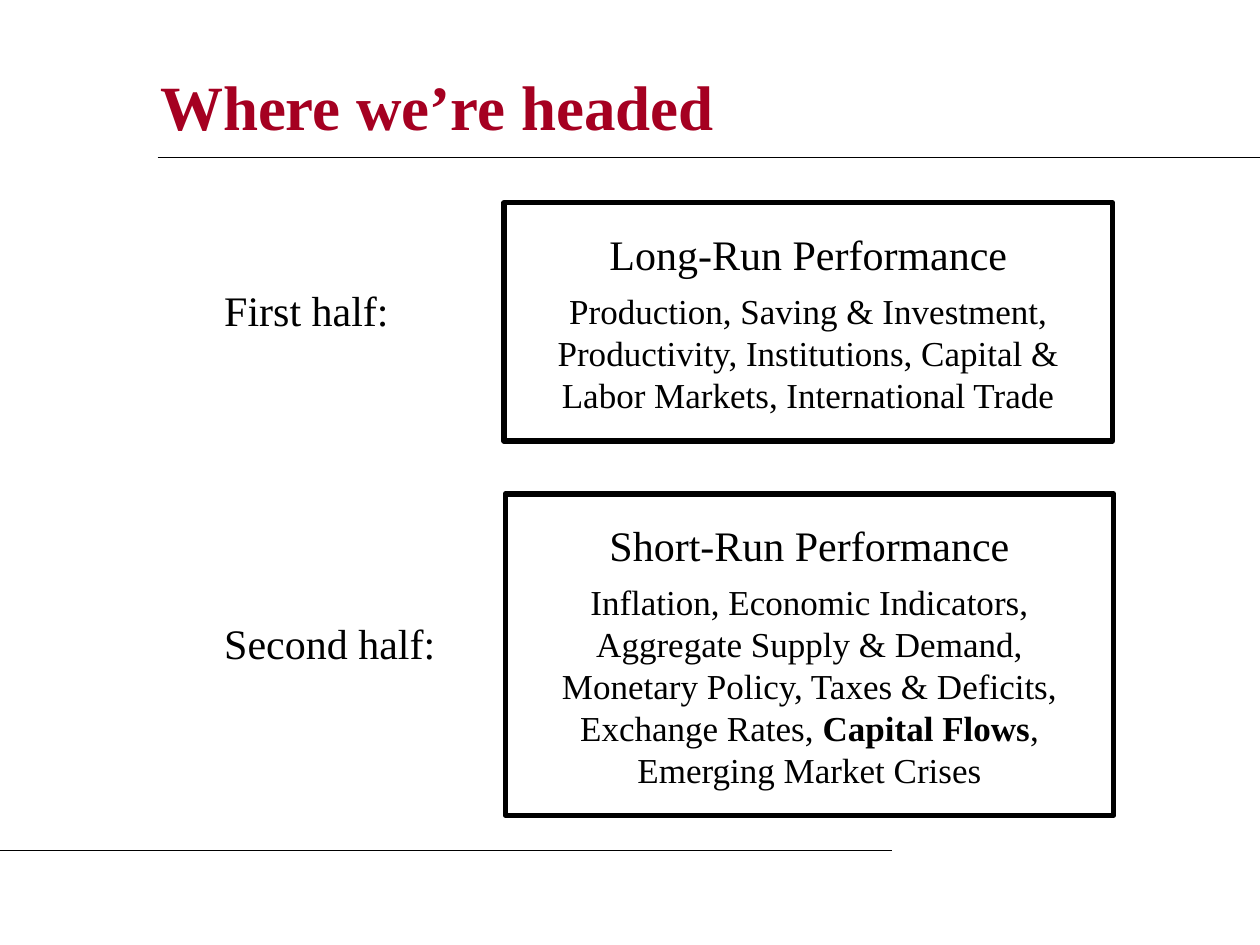
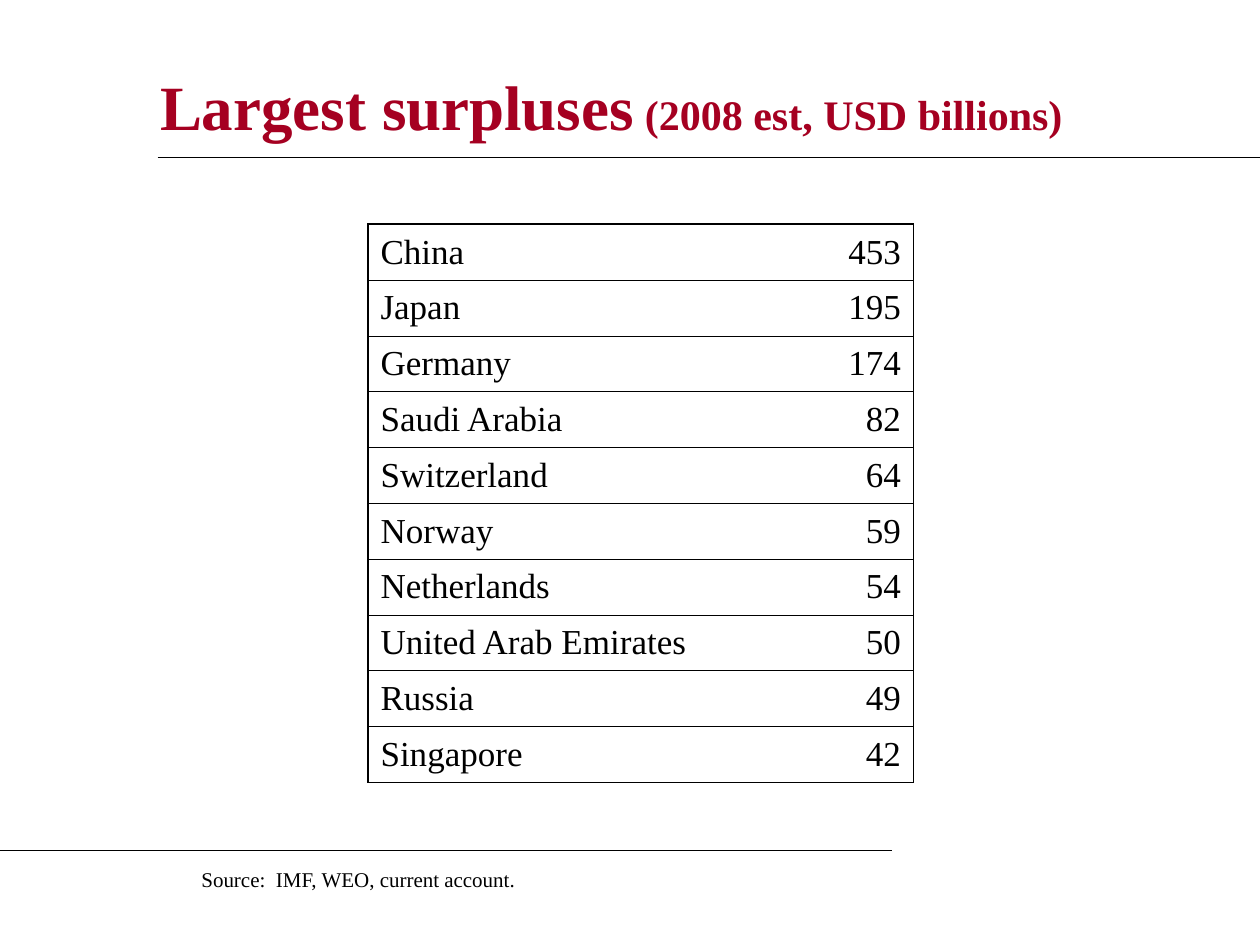
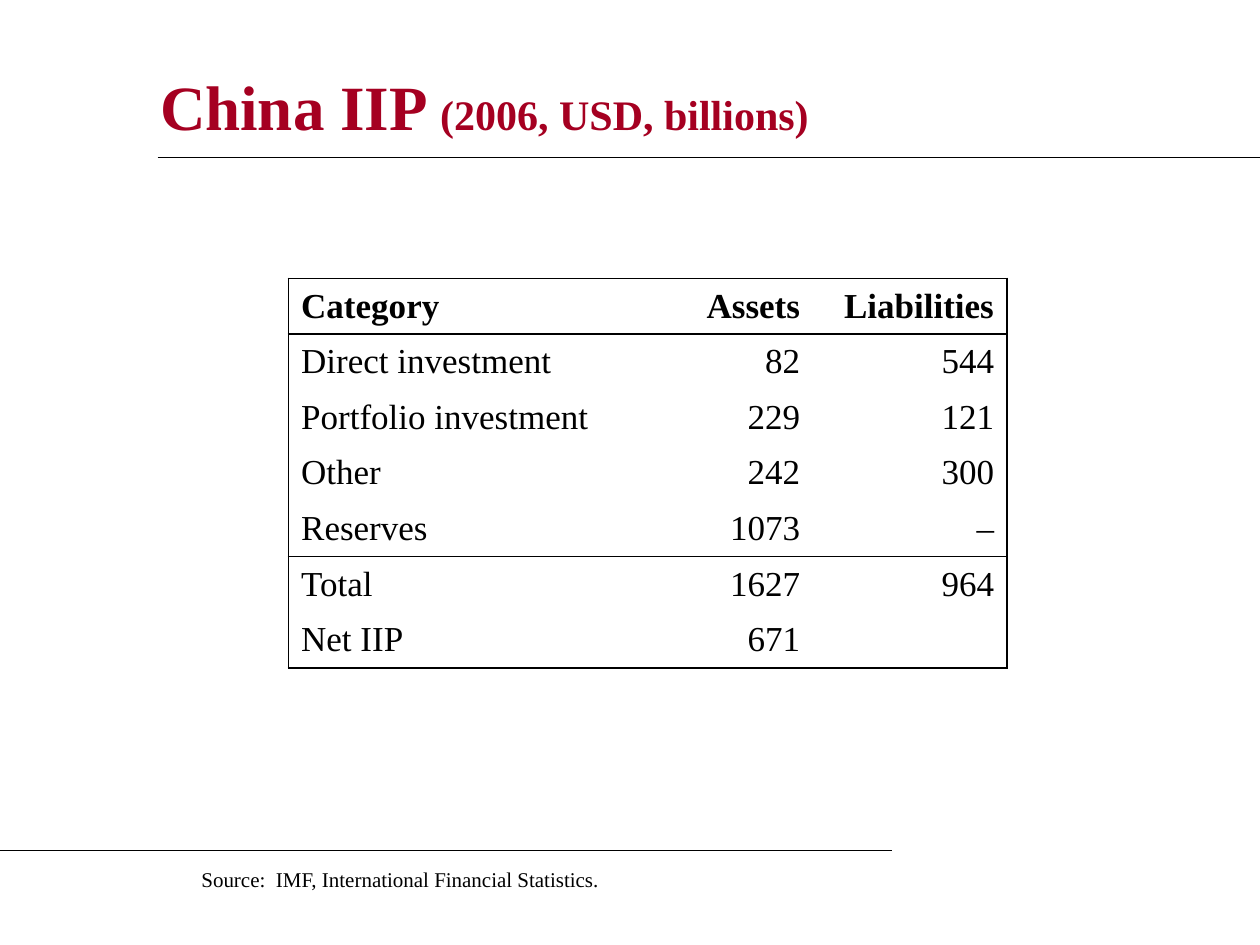
from lxml.etree import SubElement
from pptx import Presentation
from pptx.dml.color import RGBColor
from pptx.enum.shapes import MSO_CONNECTOR, MSO_SHAPE
from pptx.enum.text import MSO_ANCHOR as Anchor, MSO_AUTO_SIZE as AutoSize, PP_ALIGN as Align
from pptx.oxml.ns import qn
from pptx.util import Inches, Pt

BLACK = RGBColor(0x00, 0x00, 0x00)
CRIMSON = RGBColor(0xA5, 0x00, 0x21)
FONT = "Times New Roman"
THIN, THICK = 0.45, 1.08

# Content: runs are (text, size, bold)
HEADED_TITLE = [("Where we’re headed", 36, True)]
HALVES = [
    {"label": "First half:", "label_at": (1.58, 2.33, 2.33, 0.6), "line_spacing": 0.5,
     "box_at": (4, 1.61, 4.83, 1.89), "heading": "Long-Run Performance",
     "topics": [("Production, Saving & Investment, Productivity, Institutions, "
                 "Capital & Labor Markets, International Trade", 20, False)]},
    {"label": "Second half:", "label_at": (1.58, 4.7, 2.33, 0.8), "line_spacing": None,
     "box_at": (4.01, 3.92, 4.83, 2.55), "heading": "Short-Run Performance",
     "topics": [("Inflation, Economic Indicators, Aggregate Supply & Demand, "
                 "Monetary Policy, Taxes & Deficits, Exchange Rates, ", 20, False),
                ("Capital Flows", 20, True),
                (", Emerging Market Crises", 20, False)]},
]
SURPLUSES = [
    ("China", "453"), ("Japan", "195"), ("Germany", "174"), ("Saudi Arabia", "82"),
    ("Switzerland", "64"), ("Norway", "59"), ("Netherlands", "54"),
    ("United Arab Emirates", "50"), ("Russia", "49"), ("Singapore", "42"),
]
POSITIONS = [
    ("Category", "Assets", "Liabilities"),
    ("Direct investment", "82", "544"),
    ("Portfolio investment", "229", "121"),
    ("Other", "242", "300"),
    ("Reserves", "1073", "–"),
    ("Total", "1627", "964"),
    ("Net IIP", "671", ""),
]
TABLE_PAGES = [
    {"title": [("Largest surpluses", 36, True), (" (2008 est, USD billions)", 24, True)],
     "rows": SURPLUSES, "at": (2.92, 1.78), "height": 4.43, "columns": (3.08, 1.25),
     "rules": {edge: THIN for edge in range(1, len(SURPLUSES))}, "header": False,
     "source": "Source:  IMF, WEO, current account."},
    {"title": [("China IIP ", 36, True), ("(2006, USD, billions)", 24, True)],
     "rows": POSITIONS, "at": (2.29, 2.21), "height": 3.09, "columns": (3.08, 1.08, 1.54),
     "rules": {1: THICK, 5: THICK}, "header": True,
     "source": "Source:  IMF, International Financial Statistics."},
]


def set_all(target, **values):
    for name, value in values.items():
        setattr(target, name, value)


def inches(lengths):
    return [Inches(length) for length in lengths]


def write(para, runs, color=BLACK, **layout):
    set_all(para, **layout)
    for text, size, bold in runs:
        span = para.add_run()
        span.text = text
        set_all(span.font, name=FONT, size=Pt(size), bold=bold)
        span.font.color.rgb = color


def set_frame(frame, inset_x, inset_y):
    set_all(frame, word_wrap=True, auto_size=AutoSize.SHAPE_TO_FIT_TEXT,
            vertical_anchor=Anchor.TOP,
            margin_left=Inches(inset_x), margin_right=Inches(inset_x),
            margin_top=Inches(inset_y), margin_bottom=Inches(inset_y))


def add_label(page, at, text, size, inset, **layout):
    frame = page.shapes.add_textbox(*inches(at)).text_frame
    set_frame(frame, *inset)
    write(frame.paragraphs[0], [(text, size, False)], **layout)


def add_rule(page, start, end):
    rule = page.shapes.add_connector(MSO_CONNECTOR.STRAIGHT, *inches(start + end))
    rule.line.color.rgb = BLACK
    rule.line.width = Pt(0.75)
    SubElement(rule._element.spPr, qn("a:effectLst"))


def add_page(deck, title_runs, title_at):
    """Title with the rule below it and the footer rule."""
    page = deck.slides.add_slide(deck.slide_layouts[5])
    title = page.shapes.title
    set_all(title, **dict(zip(("left", "top", "width", "height"), inches(title_at))))
    set_all(title.text_frame, auto_size=AutoSize.NONE, word_wrap=True,
            vertical_anchor=Anchor.MIDDLE)
    write(title.text_frame.paragraphs[0], title_runs, CRIMSON, alignment=Align.LEFT)
    add_rule(page, (1.25, 1.25), (10, 1.25))
    add_rule(page, (0, 6.75), (7.08, 6.75))
    return page


def add_topic_box(page, at, heading, topics):
    box = page.shapes.add_shape(MSO_SHAPE.RECTANGLE, *inches(at))
    box.shadow.inherit = False
    box.fill.background()
    box.line.color.rgb = BLACK
    box.line.width = Pt(3)
    frame = box.text_frame
    set_frame(frame, 0.2, 0.2)
    write(frame.paragraphs[0], [(heading, 24, False)],
          alignment=Align.CENTER, space_before=Pt(7.5))
    write(frame.add_paragraph(), topics, alignment=Align.CENTER, space_before=Pt(6.2))


def set_borders(cell, widths):
    """Draw the sides that have a width and clear the others."""
    properties = cell._tc.get_or_add_tcPr()
    for side in "LRTB":
        width = widths.get(side)
        line = SubElement(properties, qn(f"a:ln{side}"), w=str(Pt(width or 0)))
        if width:
            fill = SubElement(line, qn("a:solidFill"))
            SubElement(fill, qn("a:srgbClr"), val=str(BLACK))
        else:
            SubElement(line, qn("a:noFill"))


def add_ruled_table(page, rows, at, height, columns, rules, header):
    size = (sum(columns), height)
    table = page.shapes.add_table(len(rows), len(columns), *inches(at + size)).table
    set_all(table, first_row=False, horz_banding=False)
    for column, width in zip(table.columns, columns):
        column.width = Inches(width)
    edges = {**rules, 0: THICK, len(rows): THICK}
    for r, row in enumerate(rows):
        table.rows[r].height = Inches(height / len(rows))
        for c, text in enumerate(row):
            cell = table.cell(r, c)
            set_borders(cell, {"L": THICK if c == 0 else None,
                               "R": THICK if c == len(columns) - 1 else None,
                               "T": edges.get(r), "B": edges.get(r + 1)})
            cell.fill.background()
            cell.vertical_anchor = Anchor.MIDDLE
            if text:
                write(cell.text_frame.paragraphs[0], [(text, 20, header and r == 0)],
                      alignment=Align.RIGHT if c else Align.LEFT, space_before=Pt(5))


def main():
    deck = Presentation()
    set_all(deck, slide_width=Inches(10), slide_height=Inches(7.5))

    # Course outline
    page = add_page(deck, HEADED_TITLE, (1.17, 0.42, 8.08, 0.83))
    for half in HALVES:
        add_topic_box(page, half["box_at"], half["heading"], half["topics"])
    for half in HALVES:
        add_label(page, half["label_at"], half["label"], 24, (0.2, 0.2),
                  space_before=Pt(15), line_spacing=half["line_spacing"])

    # Data tables with their sources
    for item in TABLE_PAGES:
        page = add_page(deck, item["title"], (1.17, 0.25, 8.5, 1.17))
        add_ruled_table(page, item["rows"], item["at"], item["height"],
                        item["columns"], item["rules"], item["header"])
        add_label(page, (1.5, 6.83, 3.58, 0.3), item["source"], 12, (0.1, 0.05),
                  space_before=Pt(7.5))

    deck.save("out.pptx")


if __name__ == "__main__":
    main()
